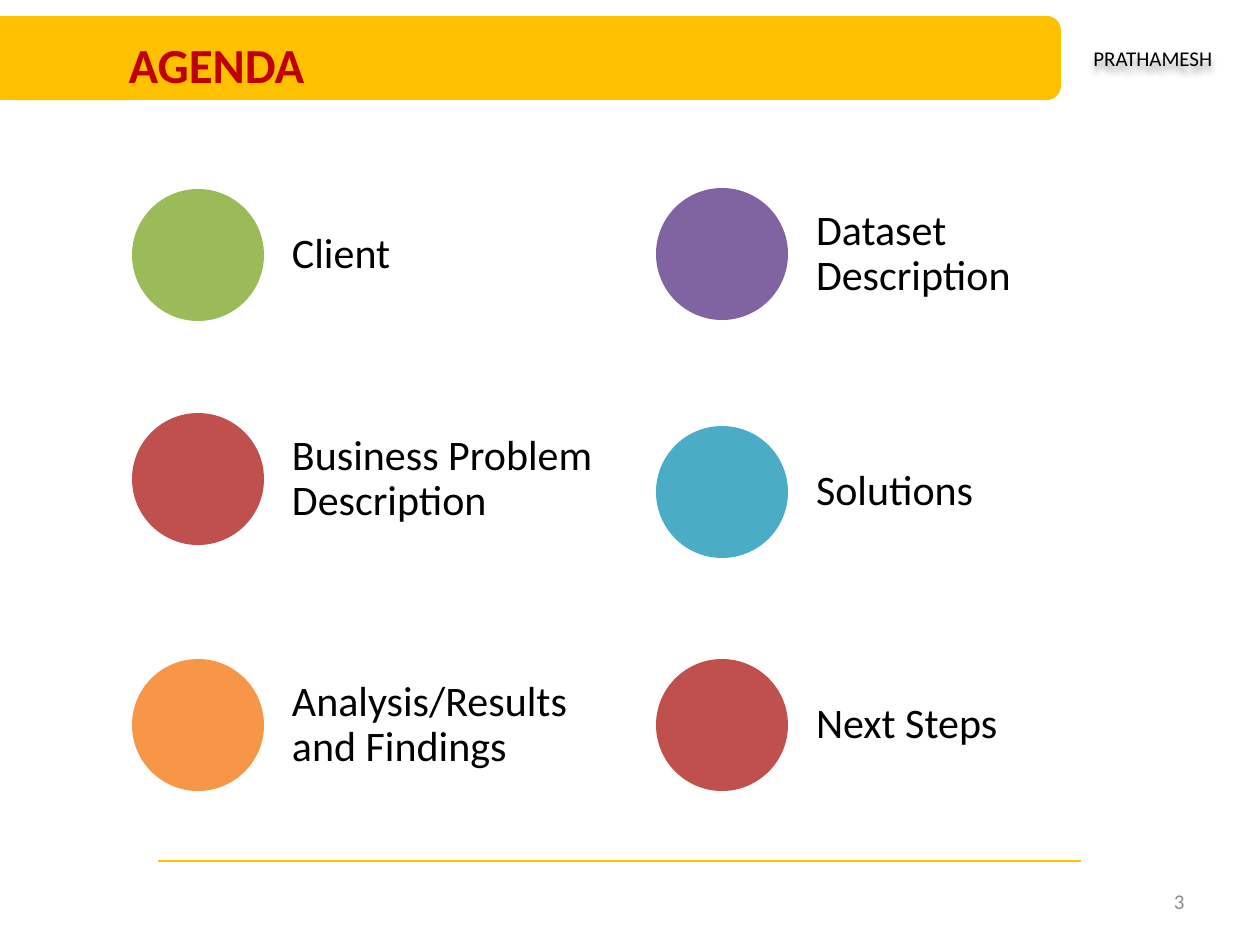
from lxml.etree import SubElement
from pptx import Presentation
from pptx.dml.color import RGBColor
from pptx.enum.shapes import MSO_CONNECTOR, MSO_SHAPE
from pptx.enum.text import MSO_ANCHOR, MSO_AUTO_SIZE, PP_ALIGN
from pptx.oxml.ns import qn
from pptx.util import Pt

PX = 914400 / 126
COLORS = {
    "gold": "FFC000", "title": "C00000", "black": "000000", "gray": "8C8C8C",
    "green": "9BBB59", "red": "C0504D", "orange": "F79646",
    "purple": "8064A2", "teal": "4BACC6",
}


def box(*lengths):
    return [round(v * PX) for v in lengths]


def write(sp, text, size, color, anchor=MSO_ANCHOR.TOP, align=PP_ALIGN.LEFT):
    tf = sp.text_frame
    tf.word_wrap = True
    tf.auto_size = MSO_AUTO_SIZE.NONE
    tf.vertical_anchor = anchor
    p = tf.paragraphs[0]
    p.text = text
    p.alignment = align
    p.font.name = "Calibri"
    p.font.size = Pt(size)
    p.font.color.rgb = RGBColor.from_string(COLORS[color])
    return tf


prs = Presentation()
prs.slide_width, prs.slide_height = box(1260, 945)
s = prs.slides.add_slide(prs.slide_layouts[5])

DIAMETER = 132
TEXT_OFFSET = 160
columns = [
    (132, [("Client", "green", 189),
           ("Business Problem Description", "red", 413),
           ("Analysis/Results and Findings", "orange", 659)]),
    (656, [("Dataset Description", "purple", 188),
           ("Solutions", "teal", 426),
           ("Next Steps", "red", 659)]),
]
shapes = []
for left, items in columns:
    for label, color, top in items:
        sp = s.shapes.add_shape(MSO_SHAPE.OVAL, *box(left, top, DIAMETER, DIAMETER))
        shapes.append((sp, color))
        sp = s.shapes.add_textbox(*box(left + TEXT_OFFSET, top, 310, DIAMETER))
        tf = write(sp, label, 24, "black", MSO_ANCHOR.MIDDLE)
        tf.margin_left = tf.margin_top = tf.margin_right = tf.margin_bottom = 0
        tf.paragraphs[0].line_spacing = 0.9

for kind, width in ((MSO_SHAPE.ROUNDED_RECTANGLE, 1061), (MSO_SHAPE.RECTANGLE, 34)):
    sp = s.shapes.add_shape(kind, *box(0, 16, width, 84))
    shapes.append((sp, "gold"))

for sp, color in shapes:
    sp.shadow.inherit = False
    sp.fill.solid()
    sp.fill.fore_color.rgb = RGBColor.from_string(COLORS[color])
    sp.line.fill.background()

title = s.shapes.title
title.left, title.top, title.width, title.height = box(116, 28, 494, 72)
title.fill.solid()
title.fill.fore_color.rgb = RGBColor.from_string(COLORS["gold"])
write(title, "AGENDA", 28, "title").paragraphs[0].font.bold = True
s.shapes._spTree.append(title._element)

author = s.shapes.add_textbox(*box(1081, 39, 158, 38))
write(author, "PRATHAMESH", 12, "black").word_wrap = False
effects = SubElement(author._element.spPr, qn("a:effectLst"))
shadow = SubElement(effects, qn("a:outerShdw"), blurRad="50800", dist="50800",
                    dir="5400000", algn="t", rotWithShape="0")
shade = SubElement(shadow, qn("a:srgbClr"), val=COLORS["black"])
SubElement(shade, qn("a:alpha"), val="40000")

rule = s.shapes.add_connector(MSO_CONNECTOR.STRAIGHT, *box(158, 861, 1081, 861))
rule.line.color.rgb = RGBColor.from_string(COLORS["gold"])
rule.line.width = Pt(1.5)
SubElement(rule._element.spPr, qn("a:effectLst"))

number = s.shapes.add_textbox(*box(903, 876, 294, 50))
write(number, "3", 12, "gray", MSO_ANCHOR.MIDDLE, PP_ALIGN.RIGHT)

prs.save("out.pptx")
